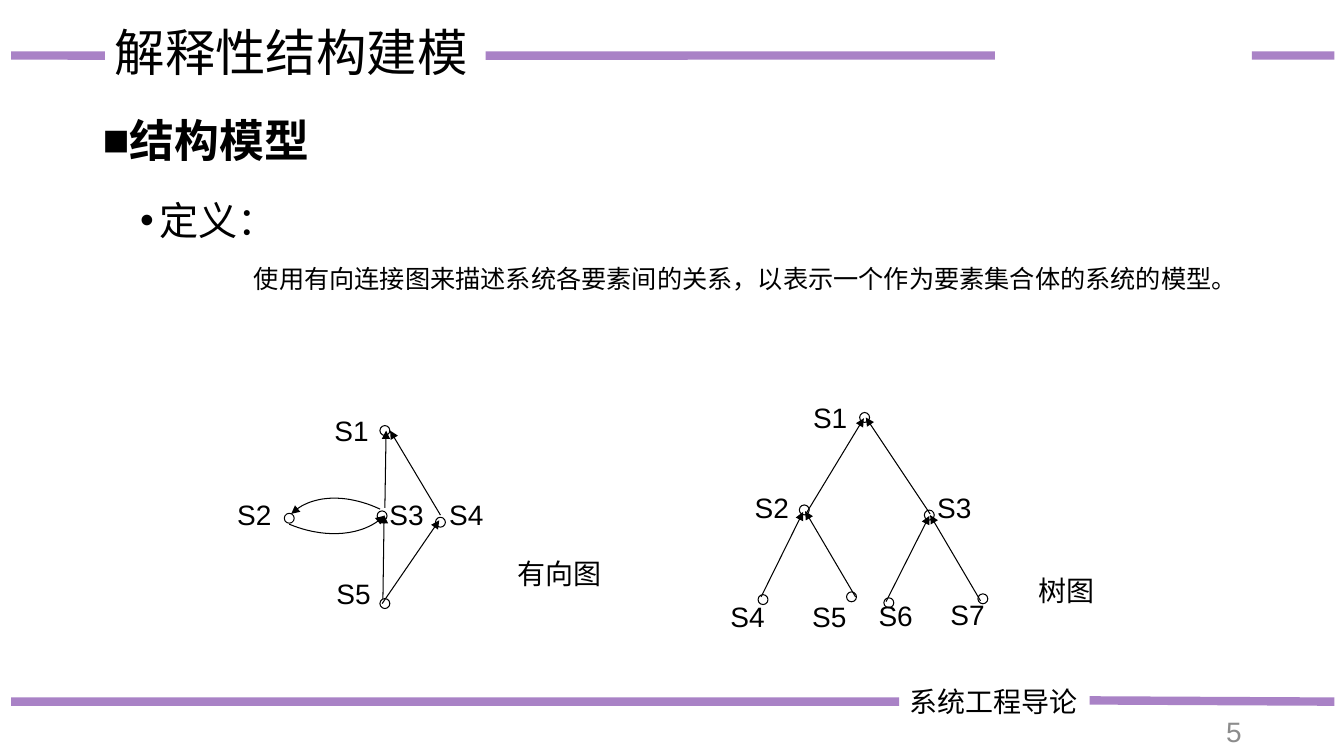
from dataclasses import dataclass

from lxml.etree import SubElement
from pptx import Presentation
from pptx.dml.color import RGBColor
from pptx.enum.shapes import MSO_CONNECTOR, MSO_SHAPE
from pptx.enum.text import MSO_ANCHOR, PP_ALIGN
from pptx.oxml.ns import qn
from pptx.util import Cm, Pt


@dataclass(frozen=True)
class Theme:
    ink: RGBColor = RGBColor(0x00, 0x00, 0x00)
    paper: RGBColor = RGBColor(0xFF, 0xFF, 0xFF)
    rule: RGBColor = RGBColor(0x70, 0x30, 0xA0)
    page_number: RGBColor = RGBColor(0x8C, 0x8C, 0x8C)
    latin: str = "Arial"
    chinese: str = "Noto Sans CJK SC"
    title: int = 36
    heading: int = 32
    subheading: int = 28
    label: int = 20
    body: int = 18
    rule_width: float = 6
    edge_width: float = 0.75


THEME = Theme()
NODE_SIZE = 0.25
LABEL_SIZE = (1.96, 1.09)
CAPTION_SIZE = (2.82, 1.09)
CURVE_STEPS = 24

# Nodes: name, centre x and y, label left and top, label alignment (cm)
DIRECTED_NODES = [
    ("S1", 9.70, 10.85, 8.18, 10.29, PP_ALIGN.LEFT),
    ("S2", 7.29, 13.06, 5.13, 12.40, PP_ALIGN.RIGHT),
    ("S3", 9.63, 13.00, 8.97, 12.42, PP_ALIGN.RIGHT),
    ("S4", 11.10, 13.16, 11.07, 12.42, PP_ALIGN.LEFT),
    ("S5", 9.70, 15.21, 8.23, 14.40, PP_ALIGN.LEFT),
]
TREE_NODES = [
    ("S1", 21.79, 10.52, 20.24, 9.98, PP_ALIGN.LEFT),
    ("S2", 20.27, 12.85, 18.77, 12.24, PP_ALIGN.LEFT),
    ("S3", 23.42, 12.98, 23.37, 12.24, PP_ALIGN.LEFT),
    ("S4", 19.23, 15.11, 18.16, 14.99, PP_ALIGN.LEFT),
    ("S5", 21.46, 15.04, 20.22, 14.99, PP_ALIGN.LEFT),
    ("S6", 22.40, 15.19, 21.89, 14.96, PP_ALIGN.LEFT),
    ("S7", 24.77, 15.09, 23.70, 14.94, PP_ALIGN.LEFT),
]
# Arrows: start x and y, end x and y (cm)
DIRECTED_ARROWS = [
    (9.63, 15.21, 11.07, 13.11),
    (9.65, 15.09, 9.68, 12.98),
    (9.70, 12.80, 9.73, 10.85),
    (11.10, 12.98, 9.83, 10.85),
]
TREE_ARROWS = [
    (23.44, 12.95, 21.82, 10.52),
    (20.29, 12.98, 21.77, 10.54),
    (21.56, 15.04, 20.29, 12.88),
    (19.18, 15.04, 20.24, 12.90),
    (24.71, 15.14, 23.44, 12.98),
    (22.33, 15.16, 23.42, 13.00),
]
# Curved arrows: four Bezier control points (cm)
DIRECTED_CURVES = [
    [(9.58, 12.83), (8.71, 12.42), (7.82, 12.47), (7.34, 12.95)],
    [(7.29, 13.21), (8.20, 13.59), (9.17, 13.51), (9.68, 13.00)],
]


def style_paragraph(paragraph, size, name=THEME.chinese, color=THEME.ink, bold=False):
    font = paragraph.font
    font.size, font.name, font.bold = Pt(size), name, bold
    font.color.rgb = color
    latin = paragraph._p.pPr.find(".//" + qn("a:latin"))
    east_asian = SubElement(latin.getparent(), qn("a:ea"), typeface=THEME.chinese)
    latin.addnext(east_asian)


def add_text_box(slide, left, top, width, height, anchor=MSO_ANCHOR.TOP):
    box = slide.shapes.add_textbox(Cm(left), Cm(top), Cm(width), Cm(height))
    box.text_frame.word_wrap = True
    box.text_frame.vertical_anchor = anchor
    return box


def add_text(slide, text, left, top, width, height, size=THEME.label,
             name=THEME.chinese, color=THEME.ink, align=PP_ALIGN.LEFT,
             anchor=MSO_ANCHOR.TOP):
    box = add_text_box(slide, left, top, width, height, anchor)
    paragraph = box.text_frame.paragraphs[0]
    paragraph.text = text
    paragraph.alignment = align
    style_paragraph(paragraph, size, name, color)
    return box


def fill_outline_item(paragraph, text, size, margin, indent, line_spacing,
                      space_before=0, bullet=None, bold=False):
    paragraph.text = text
    paragraph.line_spacing = line_spacing
    paragraph.space_before = Pt(space_before)
    properties = paragraph._p.get_or_add_pPr()
    properties.set("marL", str(Cm(margin)))
    properties.set("indent", str(Cm(indent)))
    if bullet:
        SubElement(properties, qn("a:buFont"), typeface=THEME.latin)
        SubElement(properties, qn("a:buChar"), char=bullet)
    style_paragraph(paragraph, size, bold=bold)


def add_line(slide, start_x, start_y, end_x, end_y, color, width):
    line = slide.shapes.add_connector(
        MSO_CONNECTOR.STRAIGHT, Cm(start_x), Cm(start_y), Cm(end_x), Cm(end_y))
    line.line.color.rgb = color
    line.line.width = Pt(width)
    SubElement(line._element.spPr, qn("a:effectLst"))
    return line


def add_rule(slide, start_x, start_y, end_x, end_y):
    rule = add_line(slide, start_x, start_y, end_x, end_y, THEME.rule, THEME.rule_width)
    color = rule._element.spPr.find(".//" + qn("a:srgbClr"))
    SubElement(color, qn("a:alpha"), val="60000")
    return rule


def add_arrowhead(shape):
    SubElement(shape.line._get_or_add_ln(), qn("a:tailEnd"), type="triangle")


def add_curved_arrow(slide, controls):
    points = []
    for step in range(CURVE_STEPS + 1):
        t = step / CURVE_STEPS
        weights = ((1 - t) ** 3, 3 * t * (1 - t) ** 2, 3 * t ** 2 * (1 - t), t ** 3)
        points.append(tuple(
            Cm(sum(weight * point[axis] for weight, point in zip(weights, controls)))
            for axis in (0, 1)))
    builder = slide.shapes.build_freeform(*points[0])
    builder.add_line_segments(points[1:], close=False)
    curve = builder.convert_to_shape()
    curve.shadow.inherit = False
    curve.fill.background()
    curve.line.color.rgb = THEME.ink
    curve.line.width = Pt(THEME.edge_width)
    add_arrowhead(curve)


def add_node(slide, name, x, y, label_left, label_top, align):
    node = slide.shapes.add_shape(
        MSO_SHAPE.OVAL, Cm(x - NODE_SIZE / 2), Cm(y - NODE_SIZE / 2),
        Cm(NODE_SIZE), Cm(NODE_SIZE))
    node.shadow.inherit = False
    node.fill.solid()
    node.fill.fore_color.rgb = THEME.paper
    node.line.color.rgb = THEME.ink
    node.line.width = Pt(THEME.edge_width)
    add_text(slide, name, label_left, label_top, *LABEL_SIZE, name=THEME.latin, align=align)


def add_graph(slide, nodes, arrows, curves, caption, caption_left, caption_top):
    for node in nodes:
        add_node(slide, *node)
    for arrow in arrows:
        add_arrowhead(add_line(slide, *arrow, THEME.ink, THEME.edge_width))
    for controls in curves:
        add_curved_arrow(slide, controls)
    add_text(slide, caption, caption_left, caption_top, *CAPTION_SIZE)


def main():
    presentation = Presentation()
    presentation.slide_width, presentation.slide_height = Cm(33.87), Cm(19.05)
    slide = presentation.slides.add_slide(presentation.slide_layouts[6])

    # Title between rules
    title = add_text(slide, "解释性结构建模", 2.64, -0.44, 9.60, 3.68,
                     size=THEME.title, anchor=MSO_ANCHOR.MIDDLE)
    title.text_frame.paragraphs[0].line_spacing = 0.9
    add_rule(slide, 0.28, 1.40, 2.64, 1.40).end_connect(title, 1)
    add_rule(slide, 12.24, 1.40, 25.07, 1.40).begin_connect(title, 3)
    add_rule(slide, 31.55, 1.40, 33.63, 1.40)

    # Footer and page number
    footer = add_text(slide, "系统工程导论", 22.66, 17.12, 6.50, 1.12)
    add_rule(slide, 0.28, 17.68, 22.66, 17.68).end_connect(footer, 1)
    add_rule(slide, 27.46, 17.65, 33.63, 17.68)
    add_text(slide, "5", 29.69, 17.91, 1.85, 1.02, name=THEME.latin,
             color=THEME.page_number, align=PP_ALIGN.RIGHT, anchor=MSO_ANCHOR.MIDDLE)

    # Definition outline
    frame = add_text_box(slide, 2.34, 2.87, 29.21, 14.22).text_frame
    fill_outline_item(frame.paragraphs[0], "结构模型", THEME.heading, 0.48, -0.48, 0.9,
                      bullet="■", bold=True)
    fill_outline_item(frame.add_paragraph(), "定义：", THEME.subheading, 1.42, -0.48, 1.5,
                      space_before=3.8, bullet="•")
    fill_outline_item(frame.add_paragraph(),
                      "使用有向连接图来描述系统各要素间的关系，以表示一个作为要素集合体的系统的模型。",
                      THEME.body, 2.54, 1.27, 1.5, space_before=3.8)

    # Directed graph and tree
    add_graph(slide, DIRECTED_NODES, DIRECTED_ARROWS, DIRECTED_CURVES, "有向图", 12.78, 13.89)
    add_graph(slide, TREE_NODES, TREE_ARROWS, [], "树图", 25.91, 14.33)

    presentation.save("out.pptx")


if __name__ == "__main__":
    main()
